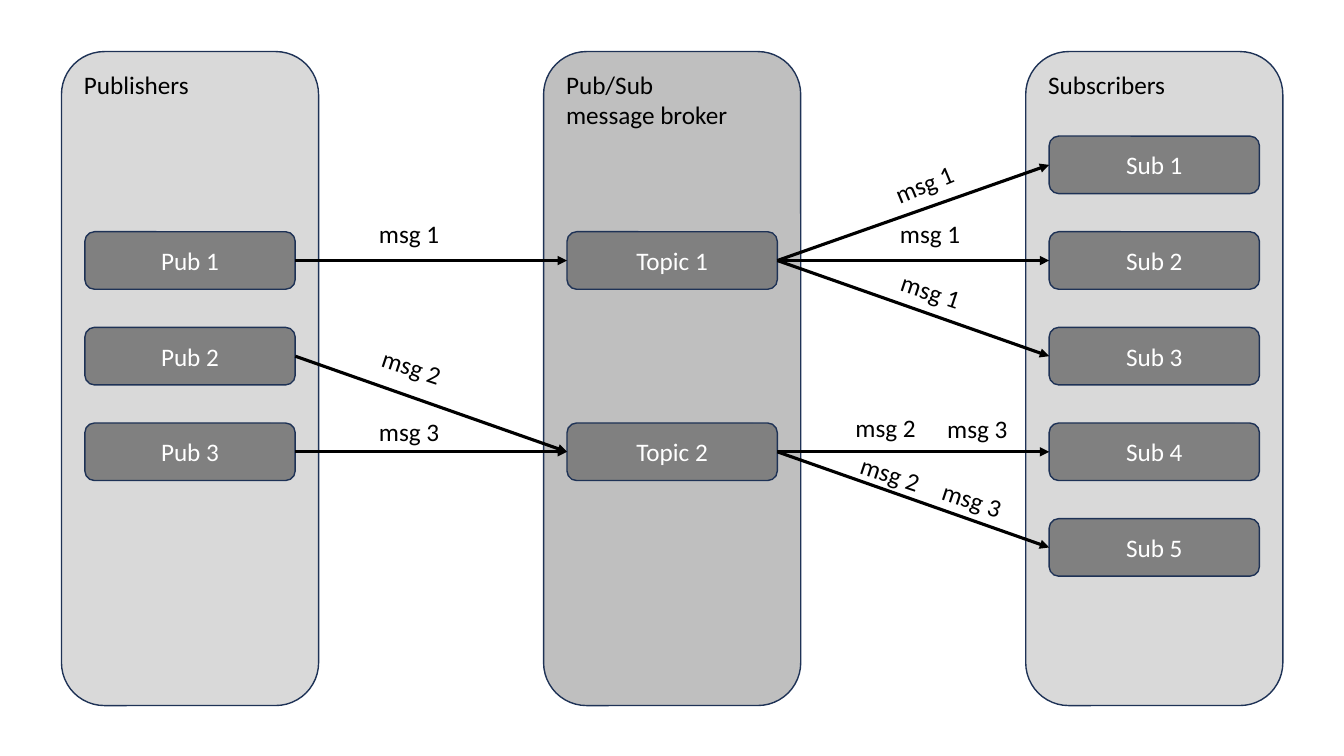
from dataclasses import dataclass

from lxml.etree import SubElement
from pptx import Presentation
from pptx.dml.color import RGBColor
from pptx.enum.shapes import MSO_CONNECTOR as Connector, MSO_SHAPE as Shape
from pptx.enum.text import MSO_ANCHOR as Anchor, MSO_AUTO_SIZE as AutoSize, PP_ALIGN as Align
from pptx.oxml.ns import qn
from pptx.util import Cm, Pt


@dataclass(frozen=True)
class Theme:
    font: str = "Calibri"
    text_size: float = 18
    outline_width: float = 1
    arrow_width: float = 2.25
    dark: str = "000000"
    light: str = "FFFFFF"
    outline: str = "1E3256"
    side_panel: str = "D9D9D9"
    broker_panel: str = "BFBFBF"
    node: str = "808080"


theme = Theme()


def write_text(shape, text, color=theme.dark, align=Align.LEFT, anchor=Anchor.TOP):
    frame = shape.text_frame
    frame.word_wrap = True
    frame.vertical_anchor = anchor
    frame.text = text
    for paragraph in frame.paragraphs:
        paragraph.alignment = align
        font = paragraph.runs[0].font
        font.name = theme.font
        font.size = Pt(theme.text_size)
        font.color.rgb = RGBColor.from_string(color)


def add_box(left, top, width, height, fill):
    box = slide.shapes.add_shape(
        Shape.ROUNDED_RECTANGLE, Cm(left), Cm(top), Cm(width), Cm(height))
    box.shadow.inherit = False
    box.fill.solid()
    box.fill.fore_color.rgb = RGBColor.from_string(fill)
    box.line.color.rgb = RGBColor.from_string(theme.outline)
    box.line.width = Pt(theme.outline_width)
    return box


presentation = Presentation()
presentation.slide_width = Cm(33.87)
presentation.slide_height = Cm(19.05)
slide = presentation.slides.add_slide(presentation.slide_layouts[6])

# Panels
panel_left, panel_pitch = 1.55, 12.15
panels = [
    ("Publishers", theme.side_panel),
    ("Pub/Sub\nmessage broker", theme.broker_panel),
    ("Subscribers", theme.side_panel),
]
for column, (title, fill) in enumerate(panels):
    panel = add_box(panel_left + column * panel_pitch, 1.3, 6.48, 16.48, fill)
    write_text(panel, title)

# Nodes: name, column, row
node_left, node_top, row_pitch = panel_left + 0.59, 3.43, 2.41
node_places = [("Topic 1", 1, 1), ("Topic 2", 1, 3)]
node_places += [(f"Pub {number}", 0, number) for number in range(1, 4)]
node_places += [(f"Sub {number}", 2, number - 1) for number in range(1, 6)]
nodes = {}
for name, column, row in node_places:
    node = add_box(node_left + column * panel_pitch, node_top + row * row_pitch,
                   5.3, 1.45, theme.node)
    write_text(node, name, color=theme.light, align=Align.CENTER, anchor=Anchor.MIDDLE)
    nodes[name] = node

# Arrows from the right side of one node to the left side of another
left_site, right_site = 1, 3
routes = [
    ("Pub 1", "Topic 1"), ("Pub 2", "Topic 2"), ("Pub 3", "Topic 2"),
    ("Topic 1", "Sub 1"), ("Topic 1", "Sub 2"), ("Topic 1", "Sub 3"),
    ("Topic 2", "Sub 4"), ("Topic 2", "Sub 5"),
]
for sender, receiver in routes:
    arrow = slide.shapes.add_connector(Connector.STRAIGHT, 0, 0, 0, 0)
    arrow.begin_connect(nodes[sender], right_site)
    arrow.end_connect(nodes[receiver], left_site)
    arrow.line.color.rgb = RGBColor.from_string(theme.dark)
    arrow.line.width = Pt(theme.arrow_width)
    SubElement(arrow.line._get_or_add_ln(), qn("a:tailEnd"), type="triangle")
    SubElement(arrow._element.spPr, qn("a:effectLst"))

# Message labels: text, left, top, rotation
falling, rising = 18.5, -22.6
labels = [
    ("msg 1", 9.3, 5.38, 0),
    ("msg 1", 22.43, 5.38, 0),
    ("msg 1", 22.43, 6.93, falling),
    ("msg 1", 22.25, 3.99, rising),
    ("msg 2", 9.35, 8.84, falling),
    ("msg 2", 21.31, 10.26, 0),
    ("msg 3", 9.3, 10.36, 0),
    ("msg 3", 23.62, 10.29, 0),
    ("msg 2", 21.41, 11.53, falling),
    ("msg 3", 23.47, 12.19, falling),
]
for text, left, top, rotation in labels:
    label = slide.shapes.add_textbox(Cm(left), Cm(top), Cm(2.72), Cm(1.03))
    label.rotation = rotation
    label.text_frame.auto_size = AutoSize.SHAPE_TO_FIT_TEXT
    write_text(label, text)

presentation.save("out.pptx")
